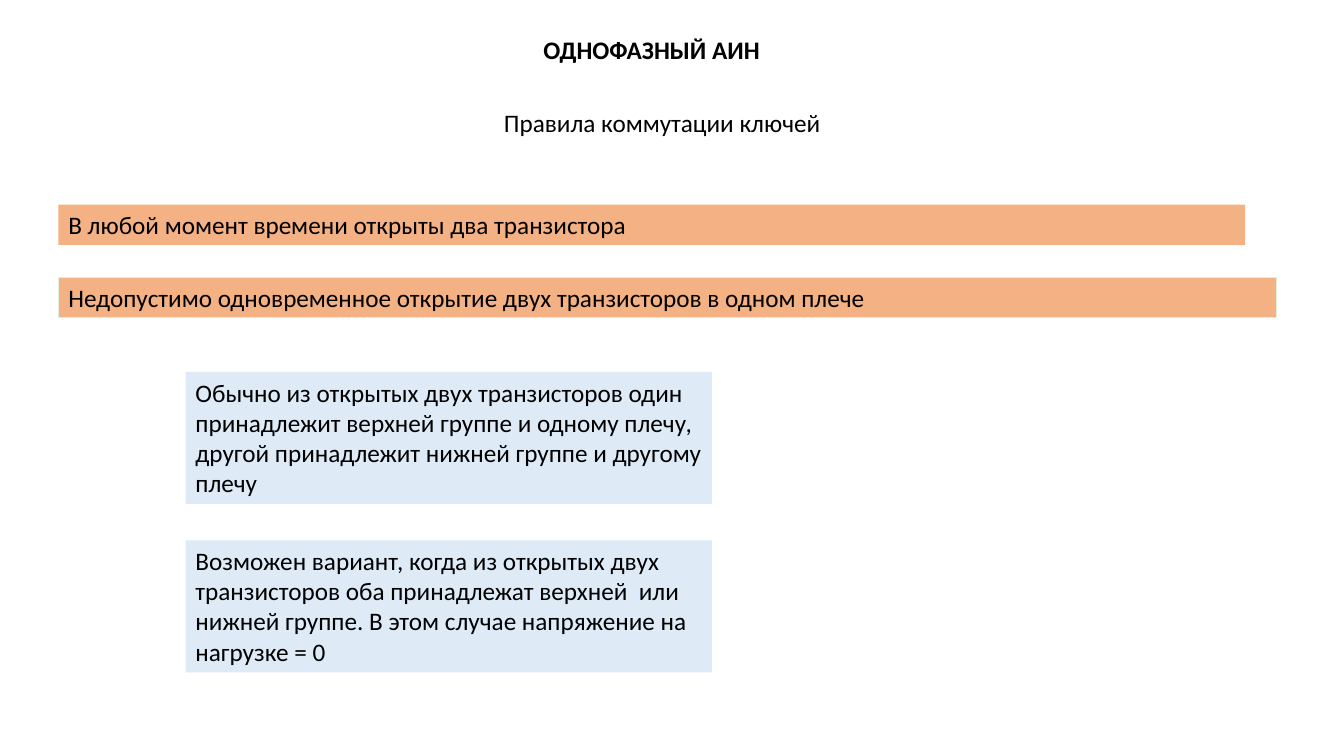
from pptx import Presentation
from pptx.dml.color import RGBColor
from pptx.enum.shapes import MSO_SHAPE
from pptx.enum.text import MSO_ANCHOR, MSO_AUTO_SIZE, PP_ALIGN
from pptx.util import Inches, Pt

BLACK = RGBColor(0x00, 0x00, 0x00)
ORANGE = RGBColor(0xF4, 0xB1, 0x83)
PALE_BLUE = RGBColor(0xDE, 0xEB, 0xF7)
PALE_GREEN = RGBColor(0xE2, 0xF0, 0xD9)

FONT = "Calibri"
LINE_HEIGHT = 0.4

RULES = [
    ("В любой момент времени открыты два транзистора", 11.77, None),
    ("Недопустимо одновременное открытие двух транзисторов в одном плече",
     12.08, PALE_GREEN),
]
CASES = [
    "Обычно из открытых двух транзисторов один принадлежит верхней группе "
    "и одному плечу, другой принадлежит нижней группе и другому плечу",
    "Возможен вариант, когда из открытых двух транзисторов оба принадлежат "
    "верхней  или нижней группе. В этом случае напряжение на нагрузке = 0",
]


def write_text(shape, text, bold=False, wrap=True, space_before=0):
    text_frame = shape.text_frame
    text_frame.text = text
    text_frame.word_wrap = wrap
    text_frame.auto_size = MSO_AUTO_SIZE.SHAPE_TO_FIT_TEXT
    text_frame.vertical_anchor = MSO_ANCHOR.TOP
    paragraph = text_frame.paragraphs[0]
    paragraph.alignment = PP_ALIGN.LEFT
    paragraph.space_before = Pt(space_before)
    font = paragraph.runs[0].font
    font.name = FONT
    font.size = Pt(18)
    font.bold = bold
    font.color.rgb = BLACK


def add_heading(slide, text, left, top, width, **style):
    box = slide.shapes.add_textbox(
        Inches(left), Inches(top), Inches(width), Inches(LINE_HEIGHT))
    write_text(box, text, **style)


def add_panel(slide, text, left, top, width, height, fill, outline=None):
    panel = slide.shapes.add_shape(
        MSO_SHAPE.RECTANGLE,
        Inches(left), Inches(top), Inches(width), Inches(height))
    panel.shadow.inherit = False
    panel.fill.solid()
    panel.fill.fore_color.rgb = fill
    if outline is None:
        panel.line.fill.background()
    else:
        panel.line.color.rgb = outline
        panel.line.width = Pt(0.75)
    write_text(panel, text, space_before=6)


def add_rules(slide, left, top, pitch):
    for index, (text, width, outline) in enumerate(RULES):
        add_panel(slide, text, left, top + index * pitch, width, LINE_HEIGHT,
                  ORANGE, outline)


def add_cases(slide, left, top, width, height, pitch):
    for index, text in enumerate(CASES):
        add_panel(slide, text, left, top + index * pitch, width, height,
                  PALE_BLUE)


def main():
    presentation = Presentation()
    presentation.slide_width = Inches(13.33)
    presentation.slide_height = Inches(7.5)
    slide = presentation.slides.add_slide(presentation.slide_layouts[6])

    add_heading(slide, "ОДНОФАЗНЫЙ АИН", 5.29, 0.29, 2.67, bold=True)
    add_heading(slide, "Правила коммутации ключей", 4.9, 1.02, 3.49, wrap=False)
    add_rules(slide, left=0.58, top=2.03, pitch=0.72)
    add_cases(slide, left=1.84, top=3.69, width=5.22, height=1.31, pitch=1.67)

    presentation.save("out.pptx")


if __name__ == "__main__":
    main()
